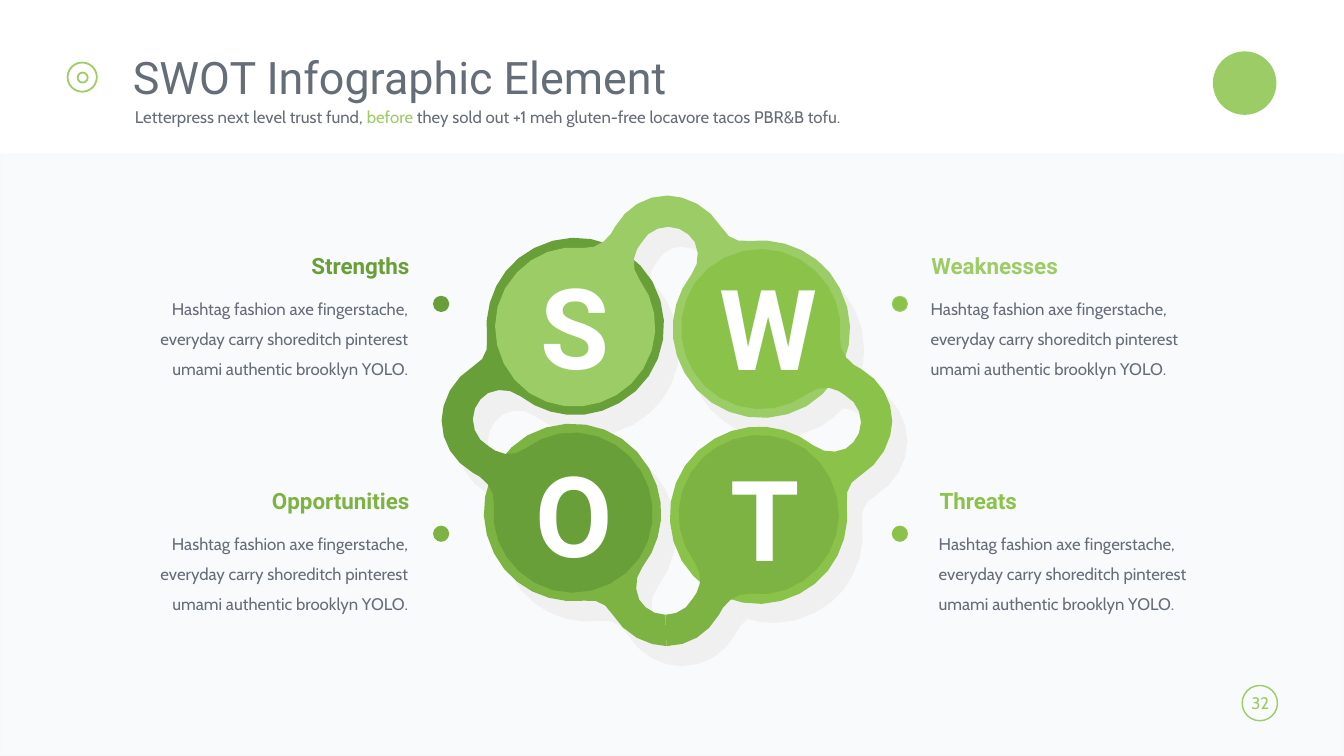
import math

import pptx
import pptx.util
import pptx.dml.color
import pptx.enum.shapes
import pptx.enum.text
import pptx.oxml.ns
import lxml.etree

RGB = pptx.dml.color.RGBColor
SHAPE = pptx.enum.shapes.MSO_SHAPE
ALIGN = pptx.enum.text.PP_ALIGN
ANCHOR = pptx.enum.text.MSO_ANCHOR

WHITE = RGB(0xFF, 0xFF, 0xFF)
SLATE = RGB(0x65, 0x6D, 0x78)
PANEL = RGB(0x7B, 0x8D, 0xB3)
PANEL_EDGE = RGB(0xEB, 0xEB, 0xEB)
SHADOW = RGB(0xF0, 0xF0, 0xF0)
LIGHT = RGB(0x9C, 0xCC, 0x65)
BRIGHT = RGB(0x8B, 0xC3, 0x4A)
MEDIUM = RGB(0x7C, 0xB3, 0x42)
DARK = RGB(0x68, 0x9F, 0x38)

PX = 9144  # EMU per px, 100 px to the inch
BODY = ("Hashtag fashion axe fingerstache, everyday carry shoreditch "
        "pinterest umami authentic brooklyn YOLO.")

# Curves: a start point, then two control points and an end point per segment.
# The top link joins S to W; the others are quarter turns of it about PIVOT.
PIVOT = complex(661.5, 417.5)
LARGE_LOBE = [
    (662, 194),
    (667, 194), (671, 195), (676, 196),
    (692, 200), (707, 211), (716, 226),
    (721, 236), (732, 241), (743, 239),
    (779, 235), (816, 252), (833, 286),
    (855, 328), (840, 379), (800, 403),
    (757, 427), (703, 413), (679, 370),
    (660, 337), (665, 299), (686, 272),
    (693, 263), (694, 250), (689, 240),
    (684, 232), (675, 225), (663, 225)]
SMALL_LOBE = [
    (663, 225),
    (652, 225), (641, 231), (636, 241),
    (635, 243), (633, 245), (632, 247),
    (627, 256), (627, 268), (634, 277),
    (653, 302), (656, 337), (638, 366),
    (614, 404), (563, 415), (525, 390),
    (492, 367), (481, 321), (501, 286),
    (518, 257), (548, 242), (579, 246),
    (589, 247), (600, 241), (606, 232),
    (607, 230), (609, 227), (610, 225),
    (621, 206), (640, 194), (662, 194)]
LINK = LARGE_LOBE + SMALL_LOBE[1:]

SHADOW_PIVOT = complex(676.5, 437.5)
SHADOW_OUTER = [
    (677, 214),
    (655, 214), (635, 226), (624, 245),
    (621, 251), (617, 257), (612, 261),
    (603, 258), (594, 257), (585, 257),
    (571, 257), (557, 260), (545, 267),
    (511, 284), (493, 321), (498, 357),
    (500, 368), (494, 379), (484, 384),
    (467, 394), (453, 414), (453, 438)]
SHADOW_INNER = [
    (677, 245),
    (688, 245), (697, 251), (703, 260),
    (709, 270), (708, 283), (701, 292),
    (680, 319), (675, 358), (693, 390),
    (710, 419), (739, 435), (770, 435),
    (785, 435), (800, 431), (814, 423),
    (823, 418), (830, 412), (836, 405),
    (842, 405), (848, 408), (854, 412),
    (864, 418), (870, 428), (870, 439)]


def flatten(curve, tolerance=0.6):
    """Turn a chain of cubic curves into as few points as the bends allow."""
    zs = [complex(*point) for point in curve]
    points = [zs[0]]
    for i in range(0, len(zs) - 1, 3):
        a, b, c, d = zs[i:i + 4]
        bend = max(abs(a - 2 * b + c), abs(b - 2 * c + d))
        steps = max(1, round(math.sqrt(0.75 * bend / tolerance)))
        for t in (n / steps for n in range(1, steps + 1)):
            u = 1 - t
            points.append(u**3 * a + 3 * u * u * t * b
                          + 3 * u * t * t * c + t**3 * d)
    return points


def turn(points, quarters, pivot):
    """Rotate points clockwise by quarter turns."""
    return [(z - pivot) * 1j ** quarters + pivot for z in points]


def ring(curve, direction):
    """Repeat a quarter curve all the way round the shadow."""
    quarter = flatten(curve)[:-1]
    return [z for k in range(4)
            for z in turn(quarter, direction * k, SHADOW_PIVOT)]


class Deck:
    def __init__(self, width, height):
        self.prs = pptx.Presentation()
        self.prs.slide_width, self.prs.slide_height = width * PX, height * PX
        self.s = self.prs.slides.add_slide(self.prs.slide_layouts[6])

    def paint(self, sp, fill, line, weight):
        sp.shadow.inherit = False
        if fill is None:
            sp.fill.background()
        else:
            sp.fill.solid()
            sp.fill.fore_color.rgb = fill
        if line is None:
            sp.line.fill.background()
        else:
            sp.line.color.rgb = line
            sp.line.width = pptx.util.Pt(weight)
        return sp

    def shape(self, kind, box, fill=None, line=None, weight=0.75):
        sp = self.s.shapes.add_shape(kind, *(v * PX for v in box))
        return self.paint(sp, fill, line, weight)

    def outline(self, contours, fill):
        contours = [[(round(z.real * PX), round(z.imag * PX)) for z in c]
                    for c in contours]
        builder = self.s.shapes.build_freeform(*contours[0][0], scale=1.0)
        for i, contour in enumerate(contours):
            if i:
                builder.move_to(*contour[0])
            builder.add_line_segments(contour[1:], close=True)
        return self.paint(builder.convert_to_shape(), fill, None, 0)

    def link(self, curve, quarters, fill):
        self.outline([turn(flatten(curve), quarters, PIVOT)], fill)

    def text(self, box, text, size, color, font="Cabin", bold=False,
             align=ALIGN.LEFT, anchor=ANCHOR.TOP, spacing=None, wrap=True,
             inset=True, more=()):
        """Add a one-paragraph box; more holds further (text, colour) runs."""
        tf = self.s.shapes.add_textbox(*(v * PX for v in box)).text_frame
        tf.word_wrap = wrap
        tf.vertical_anchor = anchor
        if not inset:
            tf.margin_left = tf.margin_right = 0
            tf.margin_top = tf.margin_bottom = 0
        tf.text = text
        p = tf.paragraphs[0]
        p.alignment = align
        p.line_spacing = spacing
        for extra, _ in more:
            p.add_run().text = extra
        for r, c in zip(p.runs, [color] + [c for _, c in more]):
            r.font.size = pptx.util.Pt(size)
            r.font.name = font
            r.font.bold = bold
            r.font.color.rgb = c


def set_alpha(sp, fill_percent, line_percent):
    colors = sp.element.spPr.iter(pptx.oxml.ns.qn("a:srgbClr"))
    for color, percent in zip(list(colors), (fill_percent, line_percent)):
        alpha = lxml.etree.SubElement(color, pptx.oxml.ns.qn("a:alpha"))
        alpha.set("val", str(percent * 1000))


def add_frame(deck):
    deck.shape(SHAPE.OVAL, (1203, 51, 63, 63), LIGHT)
    panel = deck.shape(SHAPE.RECTANGLE, (0, 153, 1333, 597), PANEL,
                       PANEL_EDGE, 2)
    set_alpha(panel, 4, 10)
    for box in ((67, 62, 29, 29), (77, 72, 10, 10)):
        deck.shape(SHAPE.OVAL, box, line=LIGHT, weight=1.25)
    badge = deck.shape(SHAPE.ROUNDED_RECTANGLE, (1232, 680, 35, 35),
                       line=LIGHT, weight=1)
    badge.adjustments[0] = 0.5
    deck.text((1231, 682, 38, 30), "32", 12, LIGHT, align=ALIGN.CENTER,
              wrap=False)
    deck.text((122, 50, 1007, 53), "SWOT Infographic Element", 32, SLATE,
              "Roboto", spacing=0.9)
    deck.text((124, 103, 1005, 29), "Letterpress next level trust fund, ", 12,
              SLATE, spacing=0.9, more=[
                  ("before", LIGHT),
                  (" they sold out +1 meh gluten-free locavore tacos "
                   "PBR&B tofu.", SLATE)])


def add_notes_around(deck):
    for title, x, y, body_x, body_w, dot, align, color, dot_fill in (
            ("Strengths", 196, 249, 151, 254, (430, 294), ALIGN.RIGHT, DARK, DARK),
            ("Weaknesses", 914, 249, 923, 258, (885, 294), ALIGN.LEFT, LIGHT, BRIGHT),
            ("Opportunities", 196, 482, 151, 254, (430, 522), ALIGN.RIGHT, MEDIUM, MEDIUM),
            ("Threats", 922, 482, 931, 258, (885, 522), ALIGN.LEFT, BRIGHT, BRIGHT)):
        deck.text((x, y, 220, 29), title, 16, color, "Roboto", True, align,
                  ANCHOR.MIDDLE)
        deck.text((body_x, y + 37, body_w, 88), BODY, 12, SLATE, align=align,
                  spacing=1.5, inset=False)
        deck.shape(SHAPE.OVAL, (*dot, 15, 15), dot_fill, color)


def add_swot_wheel(deck):
    deck.outline([ring(SHADOW_INNER, 1), ring(SHADOW_OUTER, -1)], SHADOW)
    # The bottom link is split so that it passes under O and over T.
    for curve, quarters, color in (
            (LARGE_LOBE, 2, MEDIUM), (LINK, 3, DARK), (LINK, 0, LIGHT),
            (LINK, 1, BRIGHT), (SMALL_LOBE, 2, MEDIUM)):
        deck.link(curve, quarters, color)
    for letter, x, y, w in (("S", 526, 251, 90), ("W", 704, 252, 118),
                            ("O", 521, 437, 97), ("T", 715, 441, 91)):
        deck.text((x, y, w, 145), letter, 80, WHITE, "Roboto", True,
                  wrap=False)


def main():
    deck = Deck(1333, 750)
    add_frame(deck)
    add_notes_around(deck)
    add_swot_wheel(deck)
    deck.prs.save("out.pptx")


if __name__ == "__main__":
    main()
